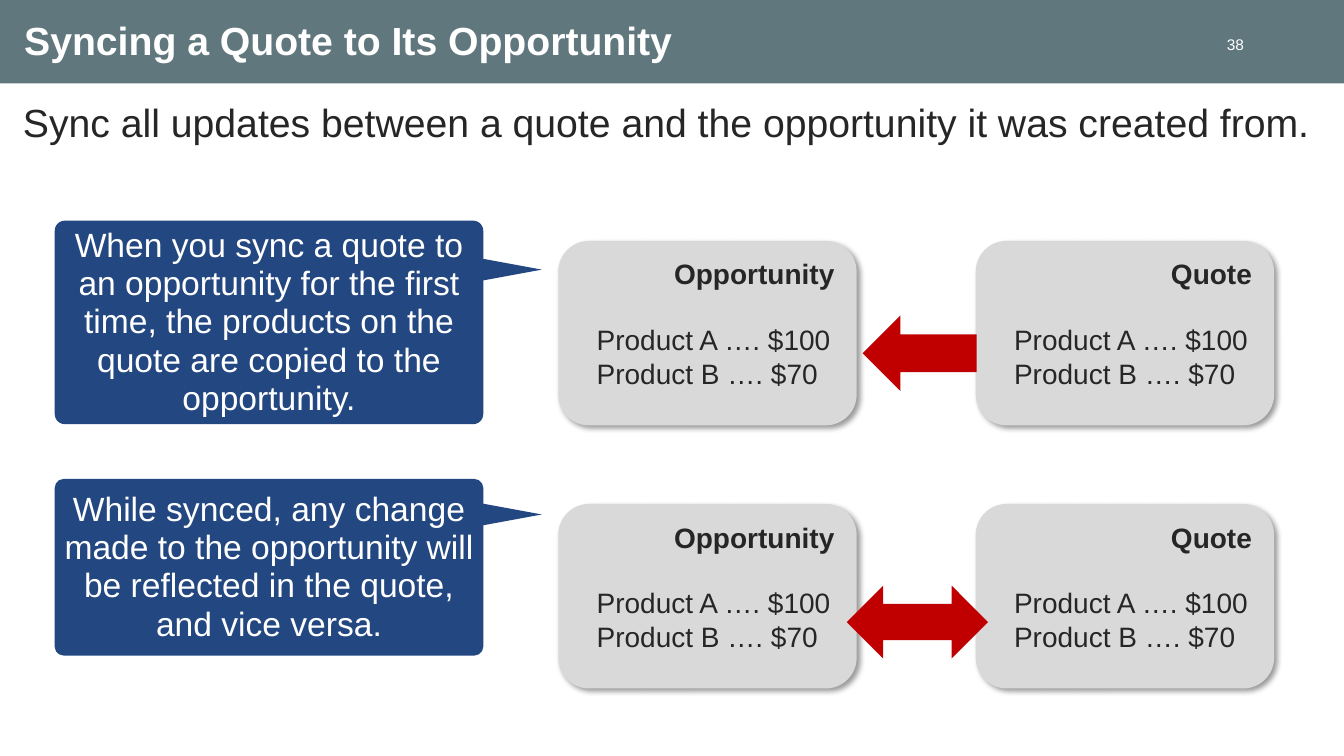
from lxml.etree import SubElement
from pptx import Presentation
from pptx.dml.color import RGBColor
from pptx.enum.shapes import MSO_SHAPE as Preset
from pptx.enum.text import MSO_ANCHOR as Anchor, MSO_AUTO_SIZE as AutoSize, PP_ALIGN as Align
from pptx.oxml.ns import qn
from pptx.util import Cm, Pt

SLATE, NAVY, RED, GREY = "60777E", "234781", "C00000", "D9D9D9"
WHITE, INK = "FFFFFF", "262626"
CARD_COLUMNS = {"Opportunity": 14.07, "Quote": 24.59}
CARD_ROWS = (6.07, 12.7)
PRODUCTS = ("Product A …. $100", "Product B …. $70")


def colour(hex_value):
    return RGBColor.from_string(hex_value)


def apply(target, settings):
    for name, value in settings.items():
        setattr(target, name, value)


def set_frame(frame, anchor, insets):
    sides = ("margin_left", "margin_top", "margin_right", "margin_bottom")
    apply(frame, dict(zip(sides, map(Cm, insets))))
    apply(frame, {"auto_size": AutoSize.NONE, "word_wrap": True, "vertical_anchor": anchor})


def write(paragraph, text, size, hex_value, bold=False, **layout):
    paragraph.text = text
    apply(paragraph, layout)
    apply(paragraph.font, {"name": "Arial", "size": Pt(size), "bold": bold})
    paragraph.font.color.rgb = colour(hex_value)


def add_block(slide, preset, box, fill):
    block = slide.shapes.add_shape(preset, *map(Cm, box))
    block.shadow.inherit = False
    block.fill.solid()
    block.fill.fore_color.rgb = colour(fill)
    block.line.fill.background()
    return block


def add_label(slide, box, insets, anchor, text, size, hex_value, **layout):
    frame = slide.shapes.add_textbox(*map(Cm, box)).text_frame
    set_frame(frame, anchor, insets)
    write(frame.paragraphs[0], text, size, hex_value, **layout)


def add_header(slide, heading):
    band = add_block(slide, Preset.RECTANGLE, (0, 0, 33.87, 2.1), SLATE)
    slide.shapes.element.insert(2, band.element)
    title = slide.shapes.title
    apply(title, {"left": Cm(0.36), "top": Cm(0), "width": Cm(29.82), "height": Cm(2.08)})
    set_frame(title.text_frame, Anchor.MIDDLE, (0.25, 0.25, 0.25, 0.13))
    write(title.text_frame.paragraphs[0], heading, 28, WHITE, bold=True,
          alignment=Align.LEFT, line_spacing=0.85)


def cast_shadow(block):
    effects = block.element.spPr.find(qn("a:effectLst"))
    shadow = SubElement(effects, qn("a:outerShdw"), blurRad=str(Pt(4)), dist=str(Pt(3)),
                        dir="2700000", algn="tl", rotWithShape="0")
    black = SubElement(shadow, qn("a:srgbClr"), val="000000")
    SubElement(black, qn("a:alpha"), val="40000")


def add_card(slide, left, top, record):
    card = add_block(slide, Preset.ROUNDED_RECTANGLE, (left, top, 7.52, 4.65), GREY)
    cast_shadow(card)
    frame = card.text_frame
    set_frame(frame, Anchor.TOP, (0.33, 0.18, 0.33, 0.18))
    write(frame.paragraphs[0], record, 20, INK, bold=True, alignment=Align.RIGHT)
    for product, gap in zip(PRODUCTS, (23, 0)):
        line = frame.add_paragraph()
        line._p.get_or_add_pPr().set("marL", str(Cm(0.41)))
        write(line, product, 20, INK, alignment=Align.LEFT, space_before=Pt(gap))


def add_callout(slide, box, pointer_top, text):
    left, top, width, height = box
    pointer = add_block(slide, Preset.ISOSCELES_TRIANGLE,
                        (left + width + 0.1, pointer_top, 0.74, 2.01), NAVY)
    pointer.rotation = 90
    callout = add_block(slide, Preset.ROUNDED_RECTANGLE, box, NAVY)
    callout.adjustments[0] = 0.05
    set_frame(callout.text_frame, Anchor.MIDDLE, (0.03, 0.13, 0.03, 0.13))
    write(callout.text_frame.paragraphs[0], text, 24, WHITE,
          alignment=Align.CENTER, line_spacing=0.95)


def main():
    deck = Presentation()
    apply(deck, {"slide_width": Cm(33.87), "slide_height": Cm(19.05)})
    slide = deck.slides.add_slide(deck.slide_layouts.get_by_name("Title Only"))
    add_header(slide, "Syncing a Quote to Its Opportunity")
    add_label(slide, (30.25, 0.84, 1.35, 0.56), (0.25, 0, 0.25, 0), Anchor.MIDDLE,
              "38", 11, WHITE, alignment=Align.RIGHT)
    add_label(slide, (0.33, 2.34, 33.17, 1.75), (0.25, 0.13, 0.25, 0.13), Anchor.TOP,
              "Sync all updates between a quote and the opportunity it was created from.",
              28, INK)
    for top in CARD_ROWS:
        for record, left in CARD_COLUMNS.items():
            add_card(slide, left, top, record)
    add_block(slide, Preset.LEFT_ARROW, (21.74, 7.95, 2.87, 1.9), RED)
    add_block(slide, Preset.LEFT_RIGHT_ARROW, (21.34, 14.76, 3.56, 1.83), RED)
    add_callout(slide, (1.38, 5.56, 10.8, 5.13), 5.79,
                "When you sync a quote to an opportunity for the first time, "
                "the products on the quote are copied to the opportunity.")
    add_callout(slide, (1.38, 12.07, 10.8, 4.45), 11.96,
                "While synced, any change made to the opportunity will be "
                "reflected in the quote, and vice versa.")
    deck.save("out.pptx")


if __name__ == "__main__":
    main()
